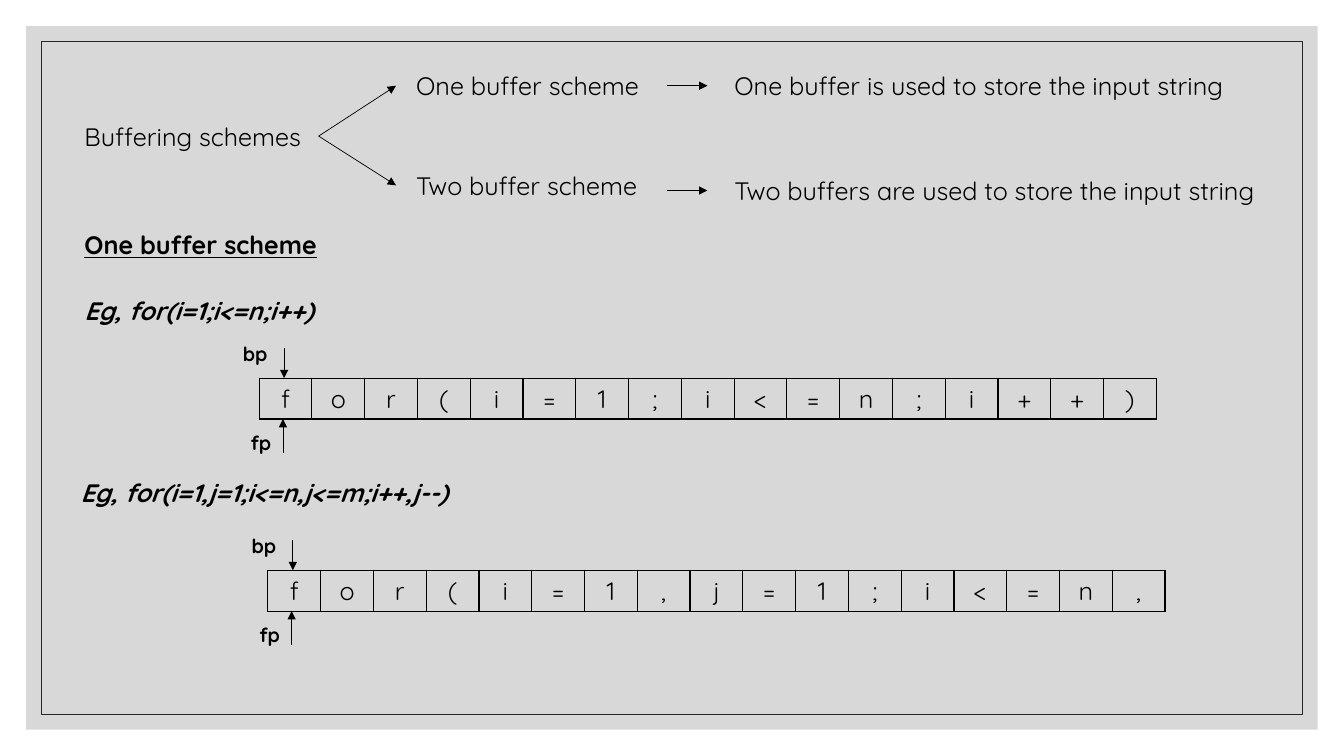
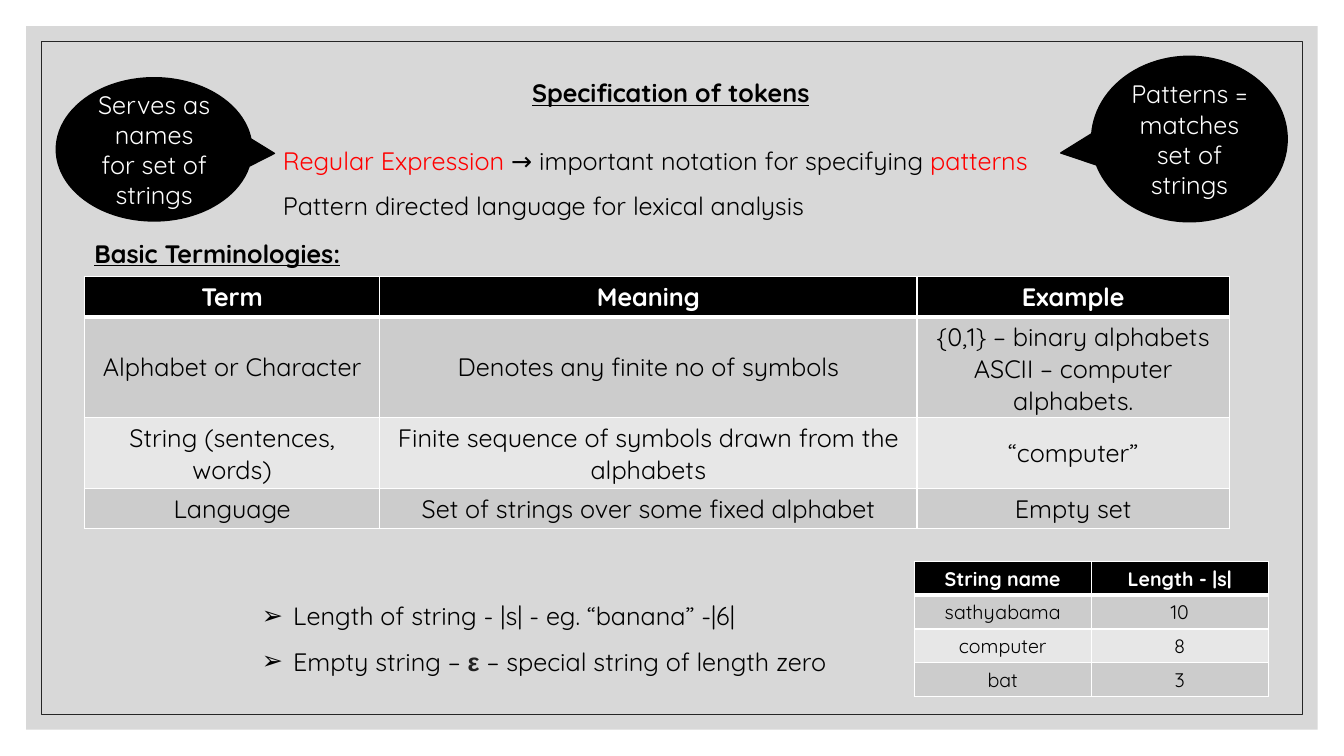
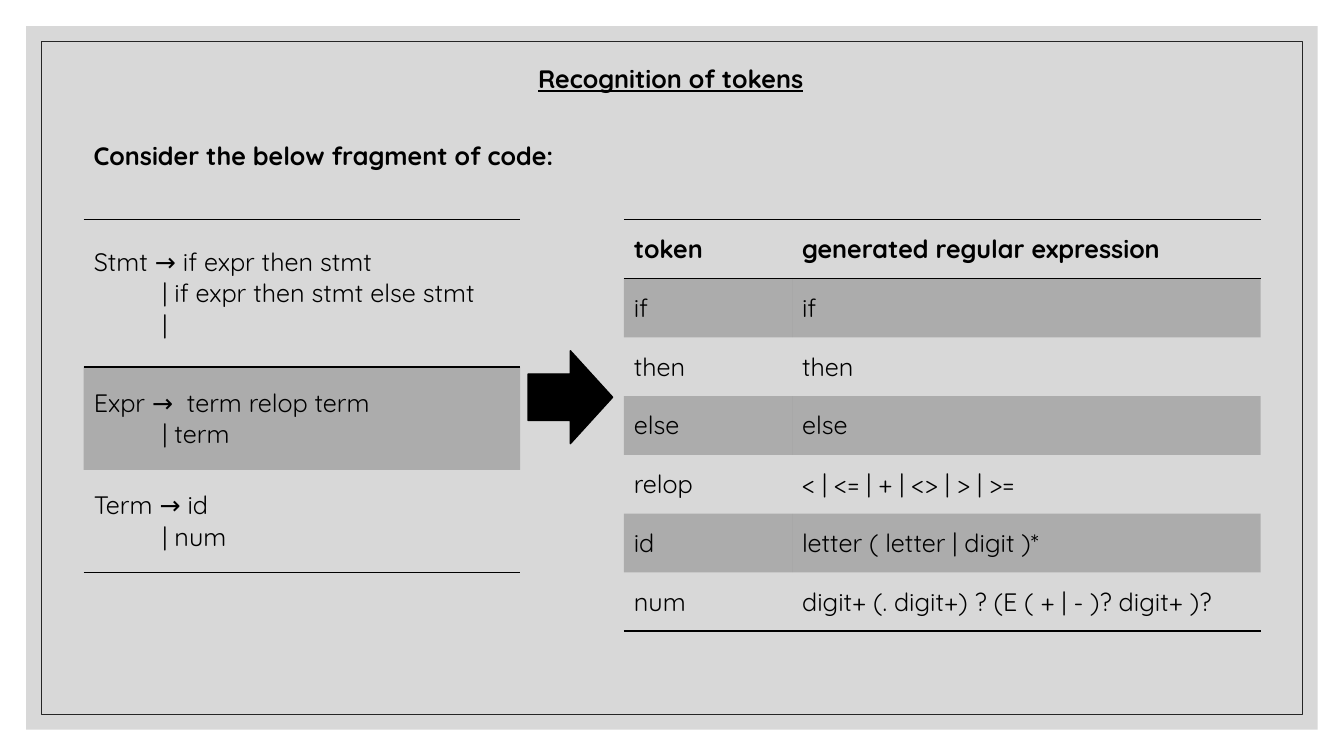
from lxml.etree import SubElement
from pptx import Presentation
from pptx.dml.color import RGBColor
from pptx.enum.shapes import MSO_CONNECTOR as Connector, MSO_SHAPE as Shape
from pptx.enum.text import MSO_ANCHOR as Anchor, MSO_AUTO_SIZE as AutoSize, PP_ALIGN as Align
from pptx.oxml.ns import qn
from pptx.util import Cm, Pt

COLOURS = {
    "ink": "000000",
    "paper": "FFFFFF",
    "panel": "BFBFBF",
    "frame": "262626",
    "accent": "FF0000",
    "symbol": "222222",
    "band_dark": "CCCCCC",
    "band_light": "E7E7E7",
}
FONT = "Quicksand"
SLIDE_WIDTH, SLIDE_HEIGHT = 33.87, 19.05
LINE_HEIGHT = 1.02
HEADING = {"bold": True, "underline": True}
EXAMPLE = {"bold": True, "italic": True}


def rgb(name):
    return RGBColor.from_string(COLOURS[name])


# Fills and text

def set_fill(fill, colour=None, opacity=100):
    if colour is None:
        fill.background()
        return
    fill.solid()
    fill.fore_color.rgb = rgb(colour)
    if opacity < 100:
        choice = fill._xPr.find(qn("a:solidFill"))[0]
        SubElement(choice, qn("a:alpha"), val=str(opacity * 1000))


def add_run(paragraph, text, size=18, colour="ink", font=FONT,
            bold=False, italic=False, underline=False):
    run = paragraph.add_run()
    run.text = text
    run.font.name = font
    run.font.size = Pt(size)
    run.font.color.rgb = rgb(colour)
    run.font.bold = bold
    run.font.italic = italic
    run.font.underline = underline


def add_bullet(paragraph, indent=0.79):
    properties = paragraph._p.get_or_add_pPr()
    properties.set("marL", str(Cm(indent)))
    properties.set("indent", str(-Cm(indent)))
    SubElement(properties, qn("a:buFont"), typeface="Arial")
    SubElement(properties, qn("a:buChar"), char="➢")


def write(frame, paragraphs, align=Align.LEFT, spacing=None, bullets=False, **style):
    """Each paragraph is a string or a list of (text, style changes) runs."""
    for index, runs in enumerate(paragraphs):
        paragraph = frame.paragraphs[0] if index == 0 else frame.add_paragraph()
        if bullets:
            add_bullet(paragraph)
        paragraph.alignment = align
        if spacing:
            paragraph.line_spacing = spacing
        for text, changes in [(runs, {})] if isinstance(runs, str) else runs:
            add_run(paragraph, text, **{**style, **changes})


def add_text(slide, left, top, width, *paragraphs, height=LINE_HEIGHT, wrap=False, **style):
    box = slide.shapes.add_textbox(Cm(left), Cm(top), Cm(width), Cm(height))
    box.text_frame.word_wrap = wrap
    box.text_frame.auto_size = AutoSize.SHAPE_TO_FIT_TEXT
    write(box.text_frame, paragraphs, **style)


# Shapes and arrows

def add_shape(slide, kind, left, top, width, height, fill=None, opacity=100,
              line=None, line_width=1.0):
    shape = slide.shapes.add_shape(kind, Cm(left), Cm(top), Cm(width), Cm(height))
    shape.shadow.inherit = False
    set_fill(shape.fill, fill, opacity)
    set_fill(shape.line.fill, line)
    if line:
        shape.line.width = Pt(line_width)
    return shape


def add_callout(slide, left, top, width, height, tip, text):
    callout = add_shape(slide, Shape.OVAL_CALLOUT, left, top, width, height,
                        fill="ink", line="ink")
    callout.adjustments[0], callout.adjustments[1] = tip
    callout.text_frame.word_wrap = True
    callout.text_frame.vertical_anchor = Anchor.MIDDLE
    write(callout.text_frame, [text], align=Align.CENTER, colour="paper")


def add_arrow(slide, start, end):
    arrow = slide.shapes.add_connector(
        Connector.STRAIGHT, *[Cm(value) for value in (*start, *end)])
    arrow.line.width = Pt(0.5)
    arrow.line.color.rgb = rgb("ink")
    properties = arrow.element.spPr
    SubElement(properties.find(qn("a:ln")), qn("a:tailEnd"), type="triangle")
    SubElement(properties, qn("a:effectLst"))


# Tables

def set_border(cell, side, width, colour):
    properties = cell._tc.get_or_add_tcPr()
    line = SubElement(properties, qn(f"a:ln{side}"), w=str(Pt(width)))
    if width:
        fill = SubElement(line, qn("a:solidFill"))
        SubElement(fill, qn("a:srgbClr"), val=COLOURS[colour])
    else:
        SubElement(line, qn("a:noFill"))


def add_table(slide, left, top, columns, heights, rows, rules, vertical=0,
              border="ink", fills=None, header=None, **style):
    """rules holds the width of each horizontal line, from top to bottom;
    fills holds one (colour, opacity) a row; header is the first row's style."""
    frame = slide.shapes.add_table(len(rows), len(columns), Cm(left), Cm(top),
                                   Cm(sum(columns)), Cm(sum(heights)))
    table = frame.table
    table.first_row = header is not None
    table.horz_banding = False
    for column, width in zip(table.columns, columns):
        column.width = Cm(width)
    for index, (row, height, texts) in enumerate(zip(table.rows, heights, rows)):
        row.height = Cm(height)
        row_style = {**style, **(header or {})} if index == 0 else style
        for cell, text in zip(row.cells, texts):
            cell.vertical_anchor = Anchor.MIDDLE
            widths = (vertical, vertical, rules[index], rules[index + 1])
            for side, width in zip("LRTB", widths):
                set_border(cell, side, width, border)
            set_fill(cell.fill, *(fills[index] if fills else ()))
            write(cell.text_frame, text.split("\n"), **row_style)


def add_banded_table(slide, left, top, columns, heights, rows, **style):
    bands = [("band_light",) if index % 2 == 0 else ("band_dark",)
             for index in range(1, len(rows))]
    add_table(slide, left, top, columns, heights, rows,
              rules=[1, 3] + [1] * (len(rows) - 1), vertical=1, border="paper",
              fills=[("ink",)] + bands, header={"bold": True, "colour": "paper"},
              align=Align.CENTER, **style)


def add_buffer(slide, left, top, characters):
    """A row of one-character cells with its bp and fp pointers."""
    count = len(characters)
    add_table(slide, left, top, [1.33] * count, [1.03], [characters],
              rules=[1, 1], vertical=1, align=Align.CENTER)
    add_arrow(slide, (left + 0.63, top - 0.76), (left + 0.63, top))
    add_arrow(slide, (left + 0.6, top + 1.88), (left + 0.6, top + 1.03))
    for label, x, y in (("bp", -0.66, -1.04), ("fp", -0.46, 1.2)):
        add_text(slide, left + x, top + y, 1.17, label, height=0.86,
                 wrap=True, size=14, bold=True)


# Shared background, kept on the layout

def add_background(layout, slide):
    for margin, look in ((0.66, {"fill": "panel", "opacity": 60}),
                         (1.04, {"line": "frame", "line_width": 0.5})):
        panel = add_shape(slide, Shape.RECTANGLE, margin, margin,
                          SLIDE_WIDTH - 2 * margin, SLIDE_HEIGHT - 2 * margin, **look)
        layout.shapes.element.append(panel.element)


# Slides

def build_buffering(slide):
    add_text(slide, 1.88, 2.92, 6.15, "Buffering schemes")
    schemes = (
        (2.16, "One buffer scheme", 6.58, 1.65,
         2.16, "One buffer is used to store the input string", 13.36, 1.65),
        (4.67, "Two buffer scheme", 6.43, 4.17,
         4.8, "Two buffers are used to store the input string", 14.33, 4.29),
    )
    for branch, name, name_width, name_top, link, use, use_width, use_top in schemes:
        add_arrow(slide, (8.03, 3.43), (9.98, branch))
        add_text(slide, 10.24, name_top, name_width, name)
        add_arrow(slide, (16.81, link), (17.83, link))
        add_text(slide, 18.26, use_top, use_width, use)

    add_text(slide, 1.88, 5.66, 6.58, "One buffer scheme", **HEADING)
    add_text(slide, 1.88, 7.32, 6.53, "Eg, for(i=1;i<=n;i++)", **EXAMPLE)
    add_buffer(slide, 6.53, 9.53, "for(i=1;i<=n;i++)")
    add_text(slide, 1.78, 11.91, 10.06, "Eg, for(i=1,j=1;i<=n,j<=m;i++,j--)", **EXAMPLE)
    add_buffer(slide, 6.75, 14.37, "for(i=1,j=1;i<=n,")


def build_specification(slide):
    add_text(slide, 13.16, 1.83, 7.57, "Specification of tokens", **HEADING)
    red = {"colour": "accent"}
    add_text(slide, 6.88, 3.15, 20.09,
             [("Regular Expression ", red),
              ("→ important notation for specifying ", {}),
              ("patterns", red)],
             "Pattern directed language for lexical analysis",
             height=2.41, spacing=1.5)
    add_callout(slide, 1.42, 1.96, 4.93, 3.61, (0.615, 0.028),
                "Serves as names for set of strings")
    add_callout(slide, 27.51, 1.42, 4.93, 4.17, (-0.658, 0.084),
                "Patterns = matches set of strings")

    add_text(slide, 2.13, 5.87, 6.78, "Basic Terminologies:", **HEADING)
    add_banded_table(slide, 2.13, 6.96, [7.44, 13.54, 7.87], [1.02, 2.54, 1.78, 1.02], [
        ("Term", "Meaning", "Example"),
        ("Alphabet or Character", "Denotes any finite no of symbols",
         "{0,1} – binary alphabets\nASCII – computer alphabets."),
        ("String (sentences, words)",
         "Finite sequence of symbols drawn from the alphabets", "“computer”"),
        ("Language", "Set of strings over some fixed alphabet", "Empty set"),
    ])

    add_text(slide, 6.35, 14.63, 15.14,
             "Length of string - |s| - eg. “banana” -|6|",
             [("Empty string – ", {}),
              ("ε ", {"font": "Arial", "colour": "symbol", "bold": True}),
              ("– special string of length zero", {})],
             height=2.41, spacing=1.5, bullets=True)
    add_banded_table(slide, 23.04, 14.15, [4.46] * 2, [0.85] * 4, [
        ("String name", "Length - |s|"),
        ("sathyabama", "10"),
        ("computer", "8"),
        ("bat", "3"),
    ], size=14)


def build_recognition(slide):
    add_text(slide, 13.31, 1.47, 7.26, "Recognition of tokens", **HEADING)
    add_text(slide, 2.11, 3.4, 12.5, "Consider the below fragment of code:", bold=True)
    plain, shaded = (), ("ink", 20)

    # Grammar
    add_table(slide, 2.11, 5.54, [11], [3.71, 2.59, 2.59], [
        ("Stmt → if expr then stmt\n          | if expr then stmt else stmt\n          |",),
        ("Expr →  term relop term\n          | term",),
        ("Term → id\n          | num",),
    ], rules=[1, 1, 0, 1], fills=[plain, shaded, plain])

    # Tokens
    tokens = [
        ("token", "generated regular expression"),
        ("if", "if"),
        ("then", "then"),
        ("else", "else"),
        ("relop", "< | <= | + | <> | > | >="),
        ("id", "letter ( letter | digit )*"),
        ("num", "digit+ (. digit+) ? (E ( + | - )? digit+ )?"),
    ]
    add_table(slide, 15.72, 5.54, [4.24, 11.81], [1.48] * len(tokens), tokens,
              rules=[1, 1, 0, 0, 0, 0, 0, 1],
              fills=[shaded if index % 2 else plain for index in range(len(tokens))],
              header={"bold": True})
    add_shape(slide, Shape.RIGHT_ARROW, 13.31, 8.84, 2.13, 2.34, fill="ink", line="ink")


def main():
    presentation = Presentation()
    presentation.slide_width = Cm(SLIDE_WIDTH)
    presentation.slide_height = Cm(SLIDE_HEIGHT)
    layout = presentation.slide_layouts[6]
    for index, build in enumerate((build_buffering, build_specification, build_recognition)):
        slide = presentation.slides.add_slide(layout)
        if index == 0:
            add_background(layout, slide)
        build(slide)
    presentation.save("out.pptx")


if __name__ == "__main__":
    main()
